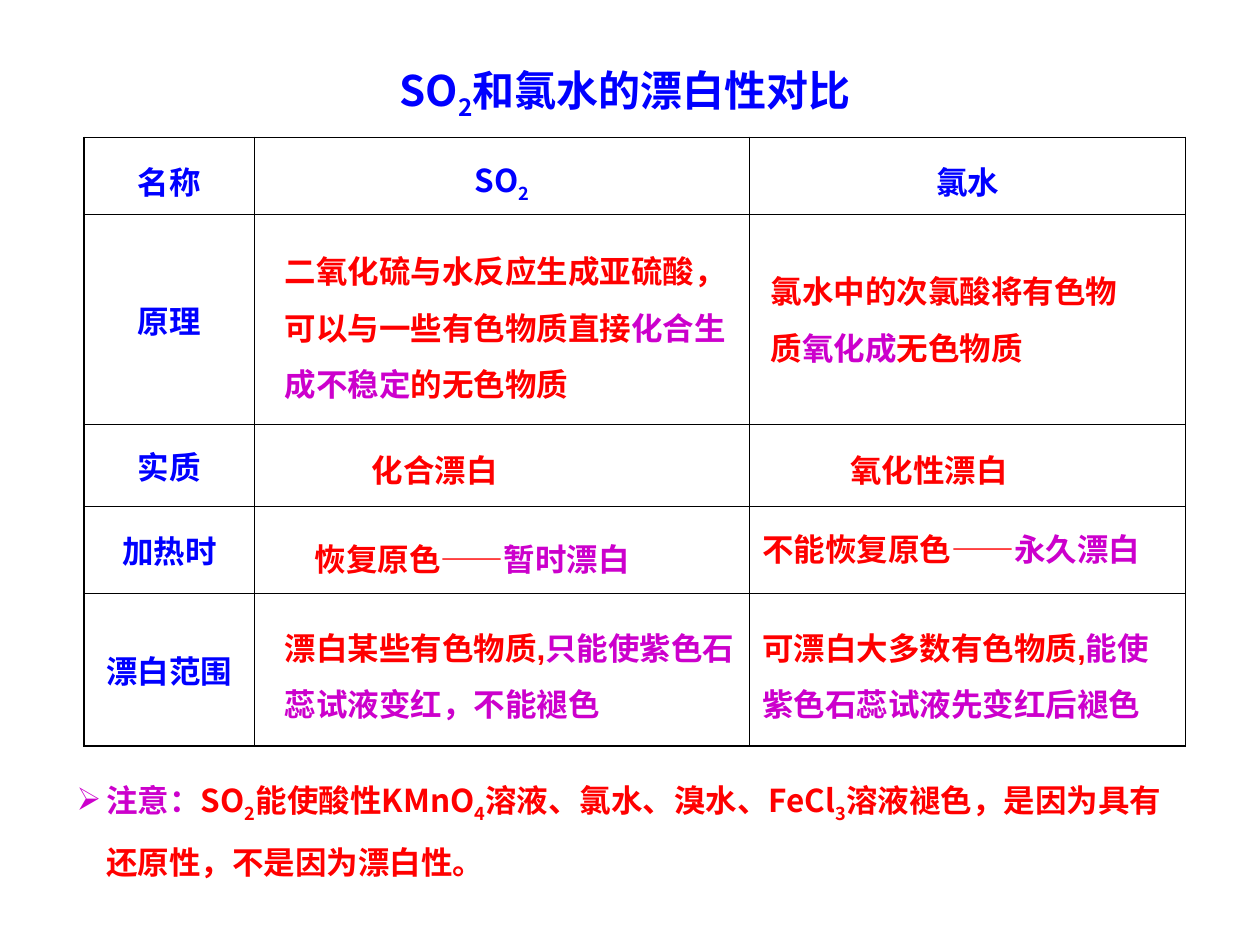
from dataclasses import dataclass

from lxml import etree
from pptx import Presentation
from pptx import util as u
from pptx.dml.color import RGBColor
from pptx.enum import text
from pptx.oxml.ns import qn


@dataclass(frozen=True)
class Theme:
    heading: str = "0000FF"
    body: str = "FF0000"
    accent: str = "CC00CC"
    rule: str = "000000"
    cjk: str = "Noto Sans CJK SC"
    latin: str = "Arial"
    title_size: float = 24
    body_size: float = 18
    outer_rule: float = 1.08
    inner_rule: float = 0.45


@dataclass(frozen=True)
class Run:
    words: str
    color: str
    subscript: bool = False


@dataclass(frozen=True)
class Box:
    left: float
    top: float
    width: float
    height: float
    runs: tuple[Run, ...]
    spacing: float = 1.5
    size: float = 18
    latin: str = "Noto Sans CJK SC"
    centered: bool = False
    bullet: str = ""


THEME = Theme()


def blue(words: str, subscript: bool = False) -> Run:
    return Run(words, THEME.heading, subscript)


def red(words: str, subscript: bool = False) -> Run:
    return Run(words, THEME.body, subscript)


def purple(words: str) -> Run:
    return Run(words, THEME.accent)


TITLE = Box(212.4, 33.1, 289.4, 40.3, (blue("SO"), blue("2", True), blue("和氯水的漂白性对比")),
            spacing=1, size=THEME.title_size, centered=True)

SO2_LEFT, CHLORINE_LEFT = 155.5, 428.4
SO2_WIDTH, CHLORINE_WIDTH = 272.2, 244.1
ESSENCE_TOP, SCOPE_TOP = 243.4, 344.9
LINE_HEIGHT, TWO_LINES = 39.6, 72

ANSWERS = (
    Box(SO2_LEFT, 129.6, SO2_WIDTH, 104.4,
        (red("二氧化硫与水反应生成亚硫酸，可以与一些有色物质直接"),
         purple("化合生成不稳定"), red("的无色物质"))),
    Box(433.4, 141.1, 215.3, TWO_LINES,
        (red("氯水中的次氯酸将有色物质"), purple("氧化成"), red("无色物质"))),
    Box(205.4, ESSENCE_TOP, 147.4, LINE_HEIGHT, (red("化合漂白"),)),
    Box(478.8, ESSENCE_TOP, 130.3, LINE_HEIGHT, (red("氧化性漂白"),)),
    Box(172.8, 294.5, 221, LINE_HEIGHT, (red("恢复原色——"), purple("暂时漂白"))),
    Box(CHLORINE_LEFT, 288.7, CHLORINE_WIDTH, LINE_HEIGHT,
        (red("不能恢复原色——"), purple("永久漂白"))),
    Box(SO2_LEFT, SCOPE_TOP, SO2_WIDTH, TWO_LINES,
        (red("漂白某些有色物质,"), purple("只能使紫色石蕊试液变红，不能褪色")),
        latin=THEME.latin),
    Box(CHLORINE_LEFT, SCOPE_TOP, CHLORINE_WIDTH, TWO_LINES,
        (red("可漂白大多数有色物质,"), purple("能使紫色石蕊试液先变红后褪色")),
        latin=THEME.latin),
)

CAUTION = Box(36.7, 430.6, 646.6, 76.3,
              (purple("注意："), red("SO"), red("2", True), red("能使酸性KMnO"),
               red("4", True), red("溶液、氯水、溴水、FeCl"), red("3", True),
               red("溶液褪色，是因为具有还原性，不是因为漂白性。")),
              bullet="➢")

HEADER = ((blue("名称"),), (blue("SO"), blue("2", True)), (blue("氯水"),))
ASPECTS = ("原理", "实质", "加热时", "漂白范围")
COLUMN_WIDTHS = (97.2, 283, 249.1)
ROW_HEIGHTS = (43.9, 120.3, 46.8, 49.7, 87.1)


def write_runs(paragraph, runs: tuple[Run, ...], size: float, latin: str) -> None:
    for part in runs:
        run = paragraph.add_run()
        run.text = part.words
        run.font.size = u.Pt(size)
        run.font.bold = True
        run.font.color.rgb = RGBColor.from_string(part.color)
        run.font.name = latin
        properties = run.font._element
        east_asian = etree.Element(qn("a:ea"), typeface=THEME.cjk)
        properties.find(qn("a:latin")).addnext(east_asian)
        if part.subscript:
            properties.set("baseline", "-25000")


def add_bullet(paragraph, mark: str) -> None:
    properties = paragraph._p.get_or_add_pPr()
    properties.set("marL", str(u.Pt(17)))
    properties.set("indent", str(-u.Pt(17)))
    color = etree.SubElement(properties, qn("a:buClr"))
    etree.SubElement(color, qn("a:srgbClr"), val=THEME.accent)
    etree.SubElement(properties, qn("a:buChar"), char=mark)


def draw_box(slide, box: Box) -> None:
    frame = slide.shapes.add_textbox(
        u.Pt(box.left), u.Pt(box.top), u.Pt(box.width), u.Pt(box.height)).text_frame
    frame.word_wrap = True
    frame.auto_size = text.MSO_AUTO_SIZE.SHAPE_TO_FIT_TEXT
    paragraph = frame.paragraphs[0]
    if box.bullet:
        add_bullet(paragraph, box.bullet)
    paragraph.line_spacing = box.spacing
    if box.centered:
        paragraph.alignment = text.PP_ALIGN.CENTER
    write_runs(paragraph, box.runs, box.size, box.latin)


def rule_cell(cell, outer_sides: dict[str, bool]) -> None:
    cell.fill.background()
    properties = cell._tc.get_or_add_tcPr()
    for position, (side, is_outer) in enumerate(outer_sides.items()):
        width = THEME.outer_rule if is_outer else THEME.inner_rule
        line = etree.Element(qn(f"a:ln{side}"), w=str(u.Pt(width)))
        fill = etree.SubElement(line, qn("a:solidFill"))
        etree.SubElement(fill, qn("a:srgbClr"), val=THEME.rule)
        properties.insert(position, line)


def fill_cell(cell, runs: tuple[Run, ...], spacing: float) -> None:
    cell.vertical_anchor = text.MSO_ANCHOR.MIDDLE
    paragraph = cell.text_frame.paragraphs[0]
    paragraph.alignment = text.PP_ALIGN.CENTER
    paragraph.line_spacing = spacing
    write_runs(paragraph, runs, THEME.body_size, THEME.cjk)


def draw_comparison(slide) -> None:
    rows, columns = len(ROW_HEIGHTS), len(COLUMN_WIDTHS)
    table = slide.shapes.add_table(
        rows, columns, u.Pt(48.2), u.Pt(78.5),
        u.Pt(sum(COLUMN_WIDTHS)), u.Pt(sum(ROW_HEIGHTS))).table
    table.first_row = table.horz_banding = False
    for column, width in zip(table.columns, COLUMN_WIDTHS):
        column.width = u.Pt(width)
    for row, height in zip(table.rows, ROW_HEIGHTS):
        row.height = u.Pt(height)
    for r in range(rows):
        for c in range(columns):
            rule_cell(table.cell(r, c), {"L": c == 0, "R": c == columns - 1,
                                         "T": r == 0, "B": r == rows - 1})
    for c, runs in enumerate(HEADER):
        fill_cell(table.cell(0, c), runs, 1.2)
    for r, aspect in enumerate(ASPECTS, start=1):
        fill_cell(table.cell(r, 0), (blue(aspect),), 1)


def main() -> None:
    deck = Presentation()
    deck.slide_width, deck.slide_height = u.Pt(720), u.Pt(540)
    slide = deck.slides.add_slide(deck.slide_layouts[6])
    draw_comparison(slide)
    for box in (TITLE, *ANSWERS, CAUTION):
        draw_box(slide, box)
    deck.save("out.pptx")


if __name__ == "__main__":
    main()
